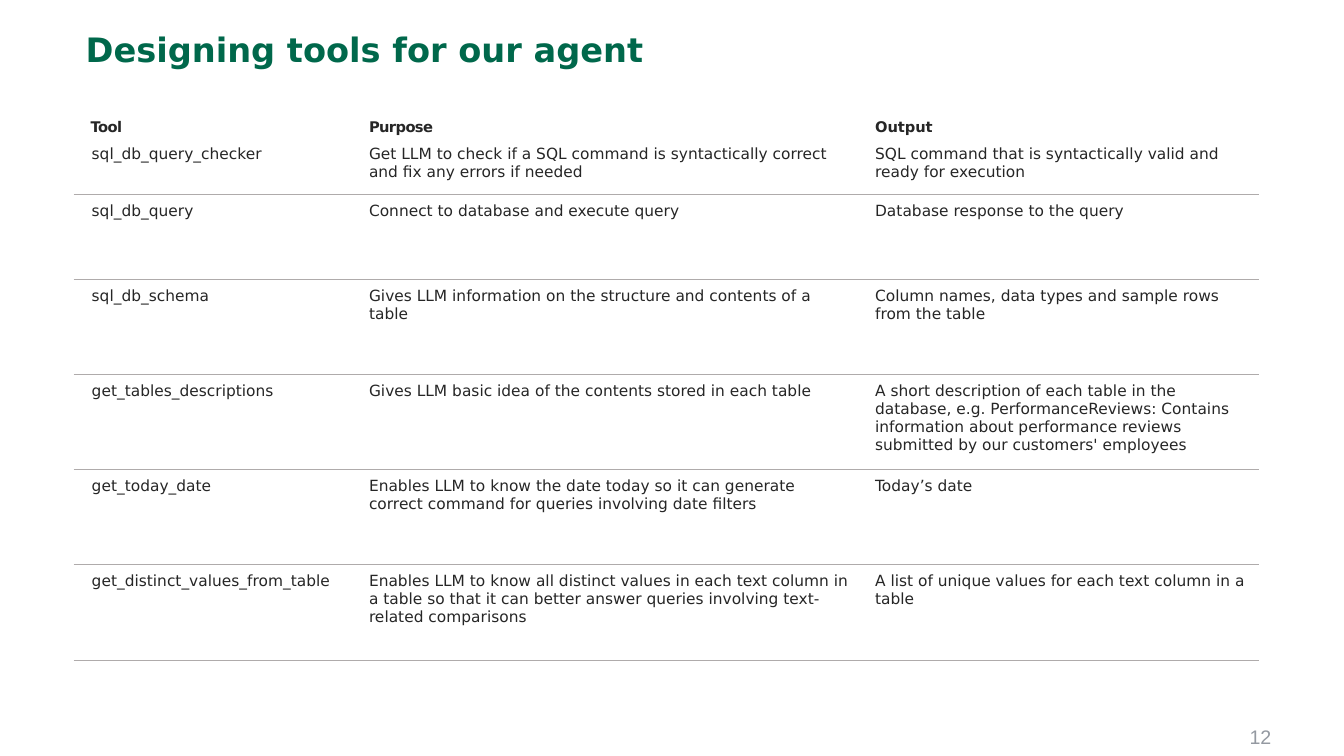
"""Build a slide that lists the tools of a database agent."""
import dataclasses

import lxml.etree
import pptx
import pptx.dml.color
import pptx.enum.text
import pptx.oxml
import pptx.oxml.ns
import pptx.util

Inches = pptx.util.Inches
Pt = pptx.util.Pt
qn = pptx.oxml.ns.qn

HUES = {"title": "00684B", "text": "262626", "line": "AFABAB", "page": "9499A1"}
FACE = "DejaVu Sans"
PLAIN = "{2D5ABB26-0587-4C30-8999-92F81FD0307C}"


@dataclasses.dataclass
class Row:
    """One table row: its height in inches and its three texts."""
    height: float
    tool: str
    purpose: str
    output: str


WIDTHS = (2.76, 5.02, 3.98)
ROWS = (
    Row(0.27, "Tool", "Purpose", "Output"),
    Row(0.57, "sql_db_query_checker",
        "Get LLM to check if a SQL command is syntactically correct and fix any errors if needed",
        "SQL command that is syntactically valid and ready for execution"),
    Row(0.84, "sql_db_query", "Connect to database and execute query",
        "Database response to the query"),
    Row(0.94, "sql_db_schema",
        "Gives LLM information on the structure and contents of a table",
        "Column names, data types and sample rows from the table"),
    Row(0.95, "get_tables_descriptions",
        "Gives LLM basic idea of the contents stored in each table",
        "A short description of each table in the database, e.g. PerformanceReviews: "
        "Contains information about performance reviews submitted by our customers' employees"),
    Row(0.94, "get_today_date",
        "Enables LLM to know the date today so it can generate correct command "
        "for queries involving date filters",
        "Today’s date"),
    Row(0.95, "get_distinct_values_from_table",
        "Enables LLM to know all distinct values in each text column in a table "
        "so that it can better answer queries involving text-related comparisons",
        "A list of unique values for each text column in a table"),
)


def style(para, size: float, hue: str, bold: bool = False, face: str = FACE) -> None:
    """Set the font of a whole paragraph."""
    font = para.font
    font.name, font.size, font.bold = face, Pt(size), bold
    font.color.rgb = pptx.dml.color.RGBColor.from_string(HUES[hue])


def pad(frame, size: float = 0) -> None:
    """Give a frame or cell the same margin on all sides."""
    frame.margin_left = frame.margin_right = Inches(size)
    frame.margin_top = frame.margin_bottom = Inches(size)


def rule(cell, side: str) -> None:
    """Draw a thin border on one side of a cell."""
    props = cell._tc.get_or_add_tcPr()
    line = lxml.etree.SubElement(props, qn(f"a:{side}"), w=str(Pt(0.5)))
    fill = lxml.etree.SubElement(line, qn("a:solidFill"))
    lxml.etree.SubElement(fill, qn("a:srgbClr"), val=HUES["line"])


def write(cell, text: str, head: bool, first: bool, tight: bool) -> None:
    """Fill and format one table cell."""
    if not head:
        rule(cell, "lnB")
    cell.fill.background()
    pad(cell, 0 if head else 0.08)
    cell.vertical_anchor = pptx.enum.text.MSO_ANCHOR.TOP
    para = cell.text_frame.paragraphs[0]
    run = para.add_run()
    run.text = text
    indent = 0.17 if head else 0.1 if first else 0.09
    para._p.get_or_add_pPr().set("marL", str(Inches(indent)))
    if head:
        para.line_spacing = Pt(18.9)
    if tight:
        run._r.get_or_add_rPr().set("spc", "-40")
    style(para, 10.5 if head else 11, "text", head)


def grid(slide) -> None:
    """Add the table of tools."""
    high = sum(row.height for row in ROWS)
    frame = slide.shapes.add_table(
        len(ROWS), len(WIDTHS), Inches(0.73), Inches(1.09), Inches(sum(WIDTHS)), Inches(high))
    table = frame.table
    table.first_row = table.horz_banding = False
    table._tbl.tblPr.find(qn("a:tableStyleId")).text = PLAIN
    for col, width in zip(table.columns, WIDTHS):
        col.width = Inches(width)
    for r, row in enumerate(ROWS):
        table.rows[r].height = Inches(row.height)
        for c, text in enumerate((row.tool, row.purpose, row.output)):
            write(table.cell(r, c), text, r == 0, c == 0, r == 0 and c < 2)


def title(slide) -> None:
    """Place and format the title."""
    shape = slide.shapes.title
    shape.left, shape.top = Inches(0.85), Inches(0.33)
    shape.width, shape.height = Inches(11.07), Inches(1.03)
    frame = shape.text_frame
    frame.text = "Designing tools for our agent"
    frame.vertical_anchor = pptx.enum.text.MSO_ANCHOR.TOP
    frame.auto_size = pptx.enum.text.MSO_AUTO_SIZE.NONE
    pad(frame)
    para = frame.paragraphs[0]
    para.alignment = pptx.enum.text.PP_ALIGN.LEFT
    para.line_spacing = 0.9
    style(para, 24, "title", True)


def page(slide) -> None:
    """Add the page number."""
    box = slide.shapes.add_textbox(Inches(9.61), Inches(7.19), Inches(3), Inches(0.31))
    frame = box.text_frame
    frame.word_wrap = True
    frame.text = "12"
    pad(frame)
    para = frame.paragraphs[0]
    para.alignment = pptx.enum.text.PP_ALIGN.RIGHT
    style(para, 14, "page", face="Arial")


def main() -> None:
    """Build and save the deck."""
    deck = pptx.Presentation()
    deck.slide_width, deck.slide_height = Inches(13.33), Inches(7.5)
    slide = deck.slides.add_slide(deck.slide_layouts[5])
    title(slide)
    grid(slide)
    page(slide)
    deck.save("out.pptx")


if __name__ == "__main__":
    main()
